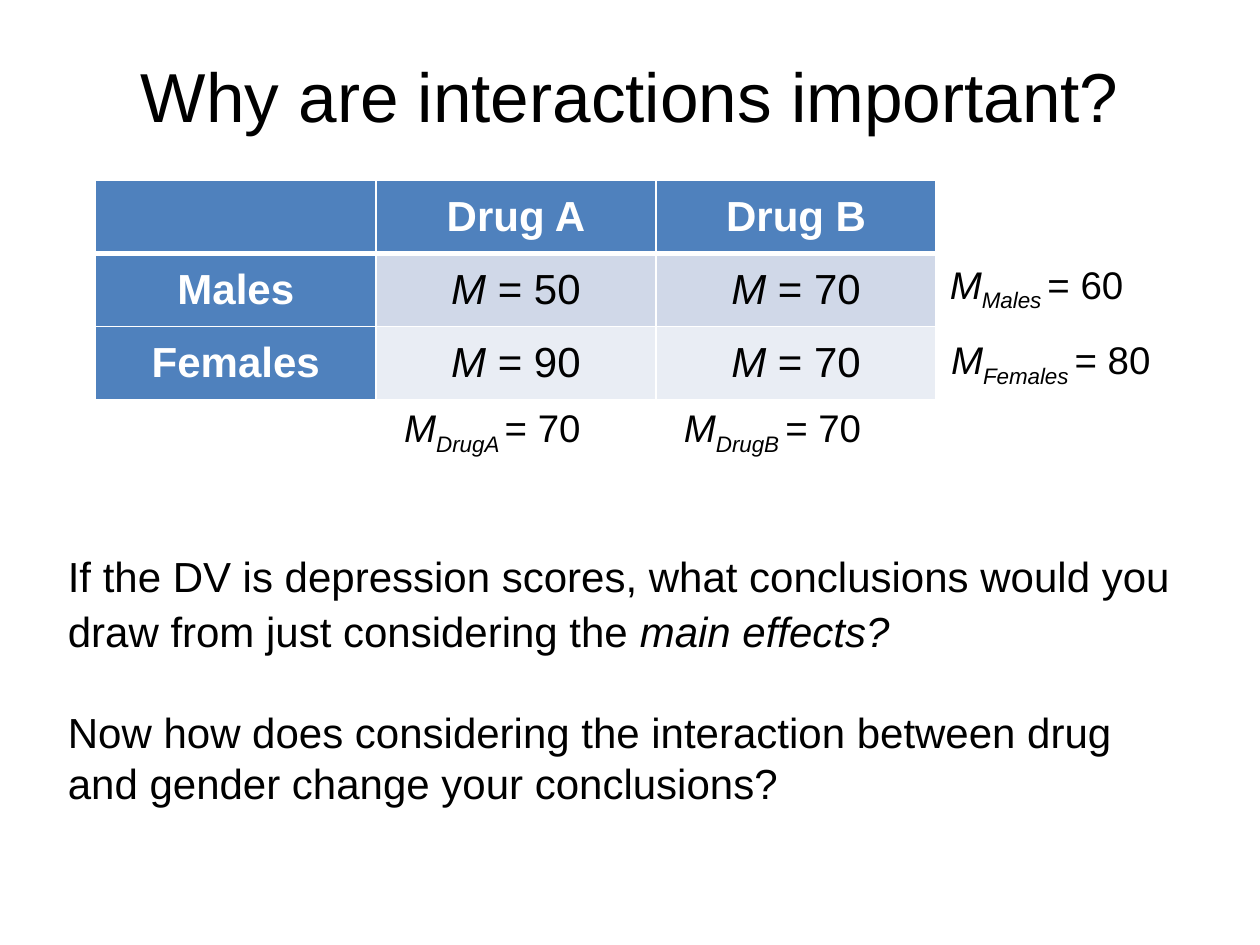
from lxml import etree
from pptx import Presentation
from pptx.dml.color import RGBColor
from pptx.enum.text import MSO_ANCHOR, MSO_AUTO_SIZE, PP_ALIGN
from pptx.oxml.ns import qn
from pptx.util import Inches, Pt

CENTER, LEFT = PP_ALIGN.CENTER, PP_ALIGN.LEFT
TOP, MIDDLE = MSO_ANCHOR.TOP, MSO_ANCHOR.MIDDLE
GROW, FIXED = MSO_AUTO_SIZE.SHAPE_TO_FIT_TEXT, MSO_AUTO_SIZE.NONE

BLACK = RGBColor(0x00, 0x00, 0x00)
WHITE = RGBColor(0xFF, 0xFF, 0xFF)
HEADER_BLUE = RGBColor(0x4F, 0x81, 0xBD)
BANDS = [RGBColor(0xD0, 0xD8, 0xE8), RGBColor(0xE9, 0xED, 0xF4)]

PLAIN, ITALIC, BOLD = {}, {"italic": True}, {"bold": True, "color": WHITE}
SUBSCRIPT = {"italic": True, "baseline": "-25000"}


class SlideBuilder:
    """Holds the style and the slide; areas are (left, top, width, height) in percent."""

    font_name = "Arial"

    def __init__(self, presentation):
        self.width, self.height = presentation.slide_width, presentation.slide_height
        self.slide = presentation.slides.add_slide(presentation.slide_layouts[6])

    def area(self, left, top, width, height):
        return [int(share * size / 100) for share, size in
                zip((left, top, width, height), (self.width, self.height) * 2)]

    def fill_paragraph(self, paragraph, runs, size, **paragraph_format):
        """Fill a paragraph with (text, format) runs."""
        for name, value in paragraph_format.items():
            setattr(paragraph, name, value)
        for text, run_format in runs:
            run = paragraph.add_run()
            run.text = text
            values = {"name": self.font_name, "size": Pt(size),
                      "bold": False, "italic": False, **run_format}
            run.font.color.rgb = values.pop("color", BLACK)
            baseline = values.pop("baseline", None)
            for name, value in values.items():
                setattr(run.font, name, value)
            if baseline:
                run._r.get_or_add_rPr().set("baseline", baseline)

    def text(self, area, paragraphs, size, anchor=TOP, auto_size=FIXED):
        """Add a text box from (runs, paragraph format) pairs."""
        frame = self.slide.shapes.add_textbox(*self.area(*area)).text_frame
        frame.word_wrap = True
        frame.auto_size = auto_size
        frame.vertical_anchor = anchor
        for index, (runs, paragraph_format) in enumerate(paragraphs):
            paragraph = frame.add_paragraph() if index else frame.paragraphs[0]
            self.fill_paragraph(paragraph, runs, size, **paragraph_format)

    def mean_label(self, left, top, width, group, value):
        runs = [("M", ITALIC), (f"{group} ", SUBSCRIPT), (f"= {value}", PLAIN)]
        self.text((left, top, width, 6.27), [(runs, {"alignment": LEFT})], 22,
                  auto_size=GROW)

    def border(self, cell, sides):
        """Draw white cell edges; sides maps an edge tag to its width in points."""
        properties = cell._tc.get_or_add_tcPr()
        for tag, width in sides.items():
            line = etree.SubElement(properties, qn(f"a:{tag}"), w=str(Pt(width)))
            fill = etree.SubElement(line, qn("a:solidFill"))
            etree.SubElement(fill, qn("a:srgbClr"), val=str(WHITE))

    def table(self, area, rows, size):
        """Add a table whose first row and first column are headers."""
        table = self.slide.shapes.add_table(
            len(rows), len(rows[0]), *self.area(*area)).table
        for row_index, row in enumerate(rows):
            for column_index, content in enumerate(row):
                cell = table.cell(row_index, column_index)
                is_header = row_index == 0 or column_index == 0
                self.border(cell, {"lnL": 1, "lnR": 1,
                                   "lnT": 3 if row_index == 1 else 1,
                                   "lnB": 3 if row_index == 0 else 1})
                cell.fill.solid()
                cell.fill.fore_color.rgb = (
                    HEADER_BLUE if is_header else BANDS[row_index - 1])
                cell.vertical_anchor = MIDDLE
                if content:
                    runs = ([(content, BOLD)] if is_header
                            else [("M ", ITALIC), (f"= {content}", PLAIN)])
                    self.fill_paragraph(cell.text_frame.paragraphs[0], runs, size,
                                        alignment=CENTER)


def main():
    presentation = Presentation()
    presentation.slide_width, presentation.slide_height = Inches(10), Inches(7.5)
    builder = SlideBuilder(presentation)

    builder.text((5, 4.53, 90, 11.07),
                 [([("Why are interactions important?", PLAIN)], {"alignment": CENTER})],
                 39.6, anchor=MIDDLE)

    builder.table((7.6, 19.07, 66.7, 23.2),
                  [["", "Drug A", "Drug B"],
                   ["Males", 50, 70],
                   ["Females", 90, 70]], 24)

    for left, top, width, group, value in [
        (31.1, 42.13, 20.5, "DrugA", 70),
        (53.3, 42.13, 20.5, "DrugB", 70),
        (74.4, 26.93, 20.5, "Males", 60),
        (74.5, 34.93, 25.5, "Females", 80),
    ]:
        builder.mean_label(left, top, width, group, value)

    builder.text((4.4, 57.07, 90.9, 34.53), [
        ([("If the DV is depression scores, what conclusions would you draw "
           "from just considering the ", PLAIN), ("main effects?", ITALIC)],
         {"line_spacing": 1.1, "space_after": Pt(24)}),
        ([("Now how does considering the interaction between drug and gender "
           "change your conclusions?", PLAIN)],
         {"space_before": Pt(4.8)}),
    ], 24)

    presentation.save("out.pptx")


if __name__ == "__main__":
    main()
